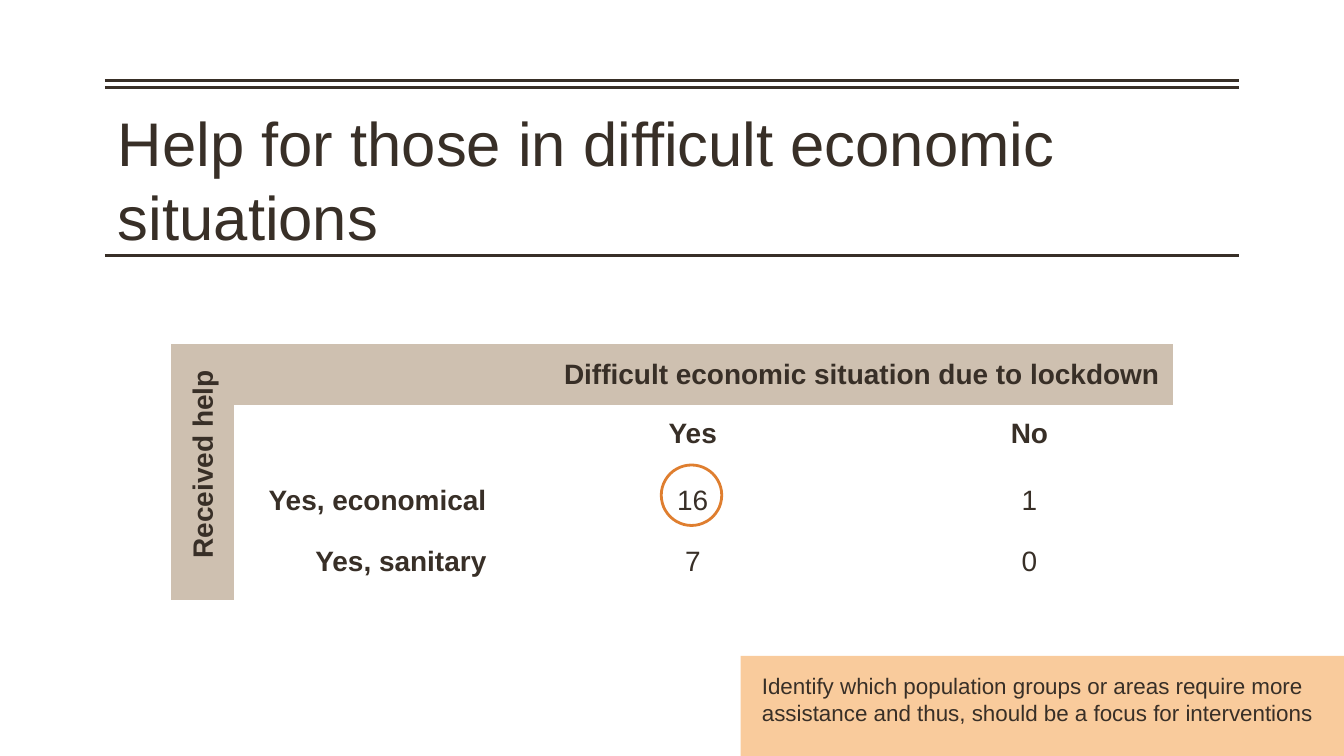
from lxml.etree import SubElement
from pptx import Presentation
from pptx.dml.color import RGBColor
from pptx.enum.shapes import MSO_CONNECTOR, MSO_SHAPE
from pptx.enum.text import MSO_ANCHOR, PP_ALIGN
from pptx.oxml.ns import qn
from pptx.util import Inches, Pt

FONT = "Arial"
INK, SAND, PEACH, ORANGE = "382F27", "CEC0B0", "F9CB9C", "DF7E2F"
NO_STYLE_NO_GRID = "{2D5ABB26-0587-4C30-8999-92F81FD0307C}"
ROWS = [
    ["", "Difficult economic situation due to lockdown", "", ""],
    ["", "", "Yes", "No"],
    ["", "Yes, economical", "16", "1"],
    ["", "Yes, sanitary", "7", "0"],
]
COLUMN_WIDTHS = [0.47, 1.98, 2.87, 2.14]
ROW_HEIGHT = 0.42


def color(hex_value):
    return RGBColor.from_string(hex_value)


def write(frame, text, size, bold=False, align=PP_ALIGN.LEFT):
    frame.text = text
    paragraph = frame.paragraphs[0]
    paragraph.alignment = align
    for run in paragraph.runs:
        run.font.name = FONT
        run.font.size = Pt(size)
        run.font.bold = bold
        run.font.color.rgb = color(INK)


def add_label(slide, box, text, size, top_inset=0.1, **style):
    label = slide.shapes.add_textbox(*map(Inches, box))
    frame = label.text_frame
    frame.word_wrap = True
    frame.vertical_anchor = MSO_ANCHOR.TOP
    frame.margin_left = frame.margin_right = frame.margin_bottom = Inches(0.1)
    frame.margin_top = Inches(top_inset)
    write(frame, text, size, **style)
    return label


def add_shape(slide, kind, box, fill=None, line=None):
    shape = slide.shapes.add_shape(kind, *map(Inches, box))
    shape.shadow.inherit = False
    if fill:
        shape.fill.solid()
        shape.fill.fore_color.rgb = color(fill)
    else:
        shape.fill.background()
    if line:
        shape.line.color.rgb = color(line)
        shape.line.width = Pt(1.5)
    else:
        shape.line.fill.background()


def add_title(slide, left, top, width, height):
    # Double rule above the title, single rule below
    for y in (top, top + 0.05, top + height):
        rule = slide.shapes.add_connector(
            MSO_CONNECTOR.STRAIGHT,
            Inches(left), Inches(y), Inches(left + width), Inches(y))
        rule.line.color.rgb = color(INK)
        rule.line.width = Pt(1.5)
        SubElement(rule._element.spPr, qn("a:effectLst"))
    add_label(slide, (left, top + 0.18, width, height - 0.18),
              "Help for those in difficult economic situations", 33,
              top_inset=0)


def add_help_table(slide, left, top):
    width, height = sum(COLUMN_WIDTHS), ROW_HEIGHT * len(ROWS)
    frame = slide.shapes.add_table(
        len(ROWS), len(COLUMN_WIDTHS),
        Inches(left), Inches(top), Inches(width), Inches(height))
    table = frame.table
    table.first_row = table.horz_banding = False
    table._tbl.tblPr.find(qn("a:tableStyleId")).text = NO_STYLE_NO_GRID
    for column, column_width in zip(table.columns, COLUMN_WIDTHS):
        column.width = Inches(column_width)
    for row in table.rows:
        row.height = Inches(ROW_HEIGHT)

    # Cells: sand side and header bands, bold labels, plain counts
    for r, values in enumerate(ROWS):
        for c, value in enumerate(values):
            cell = table.cell(r, c)
            cell.margin_left = cell.margin_right = Inches(0.1)
            cell.margin_top = cell.margin_bottom = Inches(0.1)
            cell.vertical_anchor = MSO_ANCHOR.MIDDLE if r == 0 else MSO_ANCHOR.TOP
            if r == 0 or c == 0:
                cell.fill.solid()
                cell.fill.fore_color.rgb = color(SAND)
            else:
                cell.fill.background()
            if value:
                write(cell.text_frame, value, 15, bold=r < 2 or c == 1,
                      align=PP_ALIGN.RIGHT if c == 1 else PP_ALIGN.CENTER)
    table.cell(0, 0).merge(table.cell(3, 0))
    table.cell(0, 1).merge(table.cell(0, 3))

    # Vertical label, rotated about its centre in the side band
    side_label = add_label(slide, (left - 0.67, top + 0.67, 1.8, 0.45),
                           "Received help", 15, bold=True,
                           align=PP_ALIGN.CENTER)
    side_label.rotation = 270

    # Ring around the highlighted count
    add_shape(slide, MSO_SHAPE.OVAL, (left + 3.65, top + 0.9, 0.45, 0.45),
              line=ORANGE)


def add_takeaway(slide, left, top, width, height):
    add_shape(slide, MSO_SHAPE.RECTANGLE, (left, top, width, height), fill=PEACH)
    add_label(slide, (left + 0.06, top + 0.02, width - 0.16, height),
              "Identify which population groups or areas require more "
              "assistance and thus, should be a focus for interventions", 12)


def main():
    presentation = Presentation()
    # Widescreen, 16:9
    presentation.slide_width = Inches(10)
    presentation.slide_height = Inches(10) * 9 // 16
    slide = presentation.slides.add_slide(presentation.slide_layouts[6])
    add_title(slide, 0.78, 0.6, 8.44, 1.3)
    add_help_table(slide, 1.27, 2.56)
    add_takeaway(slide, 5.51, 4.88, 4.55, 0.75)
    presentation.save("out.pptx")


if __name__ == "__main__":
    main()
